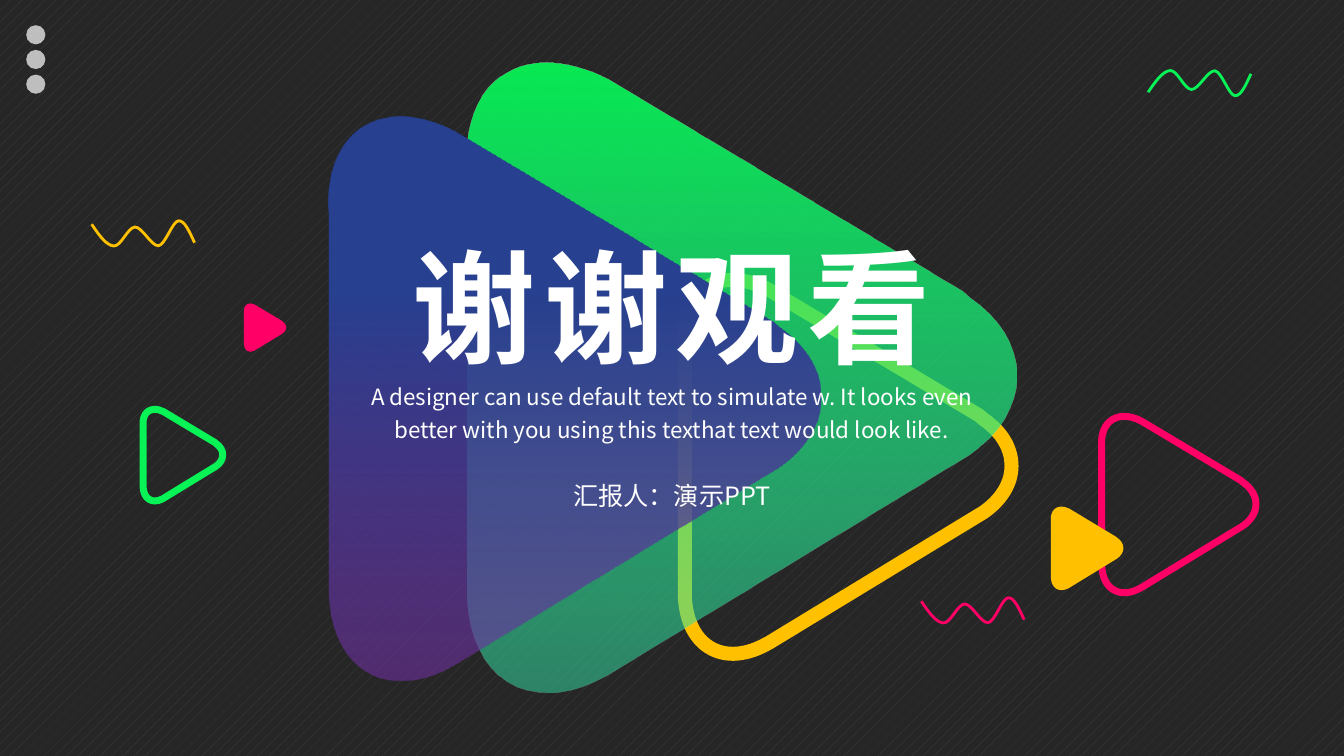
from lxml.etree import SubElement
from pptx import Presentation
from pptx.dml.color import RGBColor
from pptx.enum.dml import MSO_PATTERN
from pptx.enum.shapes import MSO_SHAPE
from pptx.enum.text import MSO_ANCHOR, MSO_AUTO_SIZE, PP_ALIGN
from pptx.oxml.ns import qn
from pptx.util import Emu, Pt

CELL = 152400  # square cell: the slide is 80 columns by 45 rows
COLS, ROWS = 80, 45
FONT = "Noto Sans CJK SC"

WHITE = RGBColor(0xFF, 0xFF, 0xFF)
DARK = RGBColor(0x26, 0x26, 0x26)
GREY = RGBColor(0x40, 0x40, 0x40)
PINK = RGBColor(0xFF, 0x00, 0x66)
GOLD = RGBColor(0xFF, 0xC0, 0x00)
GREEN = RGBColor(0x07, 0xF3, 0x56)
LIME = RGBColor(0x07, 0xF7, 0x57)
MINT = RGBColor(0x36, 0xDE, 0xA6)
BLUE = RGBColor(0x27, 0x40, 0x8F)
PURPLE = RGBColor(0x70, 0x30, 0xA0)

# Outlines in thousandths of their box: 2 numbers a line, 6 a curve
TRIANGLE = [
    (498, 0), (546, 0, 590, 33, 622, 86), (971, 743), (981, 765),
    (1005, 822, 1008, 881, 982, 927), (957, 972, 909, 996, 851, 1000),
    (173, 1000), (114, 1006, 62, 989, 30, 949),
    (-10, 897, -8, 820, 27, 743), (363, 99), (373, 86),
    (405, 33, 448, 0, 498, 0),
]
WAVE = [
    (0, 140), (75, 600, 145, 980, 215, 1000),
    (285, 1020, 350, 270, 420, 250), (490, 230, 580, 1020, 650, 990),
    (715, 960, 785, 20, 845, 0), (905, -10, 950, 430, 1000, 870),
]
CREST = [tuple(1000 - n if i % 2 else n for i, n in enumerate(step))
         for step in WAVE]


def span(*box):
    return [Emu(round(n * CELL)) for n in box]


def fade(color, share):
    """Set the opacity of a colour element, in percent."""
    SubElement(color, qn("a:alpha")).set("val", str(share * 1000))


def outline(slide, box, steps, close):
    """Add a curved freeform that fills the box."""
    x, y, w, h = span(*box)
    pen = slide.shapes.build_freeform(0, 0, (w / 1000, h / 1000))
    pen.add_line_segments([(1000, 0), (1000, 1000), (0, 1000)])
    shape = pen.convert_to_shape(x, y)
    shape.shadow.inherit = False
    track = next(shape.element.iter(qn("a:path")))
    for part in list(track):
        track.remove(part)
    for i, step in enumerate(steps):
        kind = "cubicBezTo" if len(step) == 6 else "lnTo" if i else "moveTo"
        part = SubElement(track, qn("a:" + kind))
        for px, py in zip(step[::2], step[1::2]):
            dot = SubElement(part, qn("a:pt"))
            dot.set("x", str(px))
            dot.set("y", str(py))
    if close:
        SubElement(track, qn("a:close"))
    shape.fill.background()
    shape.line.fill.background()
    return shape


def stroke(shape, color, width):
    shape.line.color.rgb = color
    shape.line.width = Pt(width)


def play(slide, box, fill=None, line=None, width=5, stops=None):
    """Add a rounded triangle that points right."""
    shape = outline(slide, box, TRIANGLE, True)
    shape.rotation = 90
    if fill:
        shape.fill.solid()
        shape.fill.fore_color.rgb = fill
    if line:
        stroke(shape, line, width)
    if stops:
        shape.fill.gradient()
        shape.fill.gradient_angle = 0
        for stop, (spot, color, share) in zip(shape.fill.gradient_stops, stops):
            stop.position = spot
            stop.color.rgb = color
        colors = shape.element.spPr.iter(qn("a:srgbClr"))
        for color, (_, _, share) in zip(list(colors), stops):
            if share < 100:
                fade(color, share)


def dots(slide, x, y, size, step):
    for row in range(3):
        dot = slide.shapes.add_shape(
            MSO_SHAPE.OVAL, *span(x, y + row * step, size, size))
        dot.shadow.inherit = False
        dot.fill.solid()
        dot.fill.fore_color.rgb = WHITE
        fade(next(dot.element.spPr.iter(qn("a:srgbClr"))), 70)
        dot.line.fill.background()


def write(shape, box, text, size, anchor=MSO_ANCHOR.TOP, bold=False):
    """Place a text shape in front and give it one centred line of thought."""
    shape.left, shape.top, shape.width, shape.height = span(*box)
    tree = shape.element.getparent()
    tree.append(shape.element)
    frame = shape.text_frame
    frame.word_wrap = True
    frame.auto_size = MSO_AUTO_SIZE.NONE
    frame.vertical_anchor = anchor
    para = frame.paragraphs[0]
    para.alignment = PP_ALIGN.CENTER
    para.space_before = Pt(0)
    run = para.add_run()
    run.text = text
    font = run.font
    font.size, font.bold, font.name = Pt(size), bold, FONT
    font.color.rgb = WHITE
    props = run._r.get_or_add_rPr()
    SubElement(props, qn("a:ea")).set("typeface", FONT)
    return para, props


def decor(slide):
    play(slide, (64.92, 25.44, 10.5, 9.18), line=PINK)
    play(slide, (62.22, 30.48, 4.98, 4.32), fill=GOLD)
    play(slide, (8.16, 24.72, 5.46, 4.74), line=GREEN)
    play(slide, (14.34, 18.24, 2.88, 2.52), fill=PINK)
    play(slide, (39.36, 18.06, 22.26, 19.44), line=GOLD, width=10)
    play(slide, (25.38, 6.12, 37.5, 32.7),
         stops=[(0, LIME, 94), (1, MINT, 51)])
    play(slide, (17.4, 9.06, 33.6, 29.28),
         stops=[(0.31, BLUE, 100), (1, PURPLE, 58)])
    for x, y, steps, color in [(68.34, 4.2, CREST, GREEN),
                               (5.46, 13.14, WAVE, GOLD),
                               (54.84, 35.58, WAVE, PINK)]:
        stroke(outline(slide, (x, y, 6.12, 1.5), steps, False), color, 2)
    dots(slide, 1.56, 1.5, 1.14, 1.47)


def words(slide):
    _, props = write(slide.shapes.title, (18.9, 13.44, 42.18, 9.48),
                     "谢谢观看", 88, bold=True)
    props.set("spc", "600")
    para, _ = write(
        slide.placeholders[1], (20.34, 22.08, 39.3, 4.44),
        "A designer can use default text to simulate w. It looks even better "
        "with you using this texthat text would look like.", 16)
    para.line_spacing = 1.25
    para.space_after = Pt(8)
    box = (31.92, 28.08, 16.14, 2.82)
    pill = slide.shapes.add_shape(MSO_SHAPE.ROUNDED_RECTANGLE, *span(*box))
    pill.adjustments[0] = 0.5
    pill.shadow.inherit = False
    pill.fill.background()
    pill.line.fill.background()
    write(pill, box, "汇报人：演示PPT", 18, MSO_ANCHOR.MIDDLE)


def main():
    deck = Presentation()
    deck.slide_width, deck.slide_height = span(COLS, ROWS)
    slide = deck.slides.add_slide(deck.slide_layouts[0])
    back = slide.background.fill
    back.patterned()
    back.pattern = MSO_PATTERN.PERCENT_10
    back.fore_color.rgb = GREY
    back.back_color.rgb = DARK
    decor(slide)
    words(slide)
    deck.save("out.pptx")


if __name__ == "__main__":
    main()
